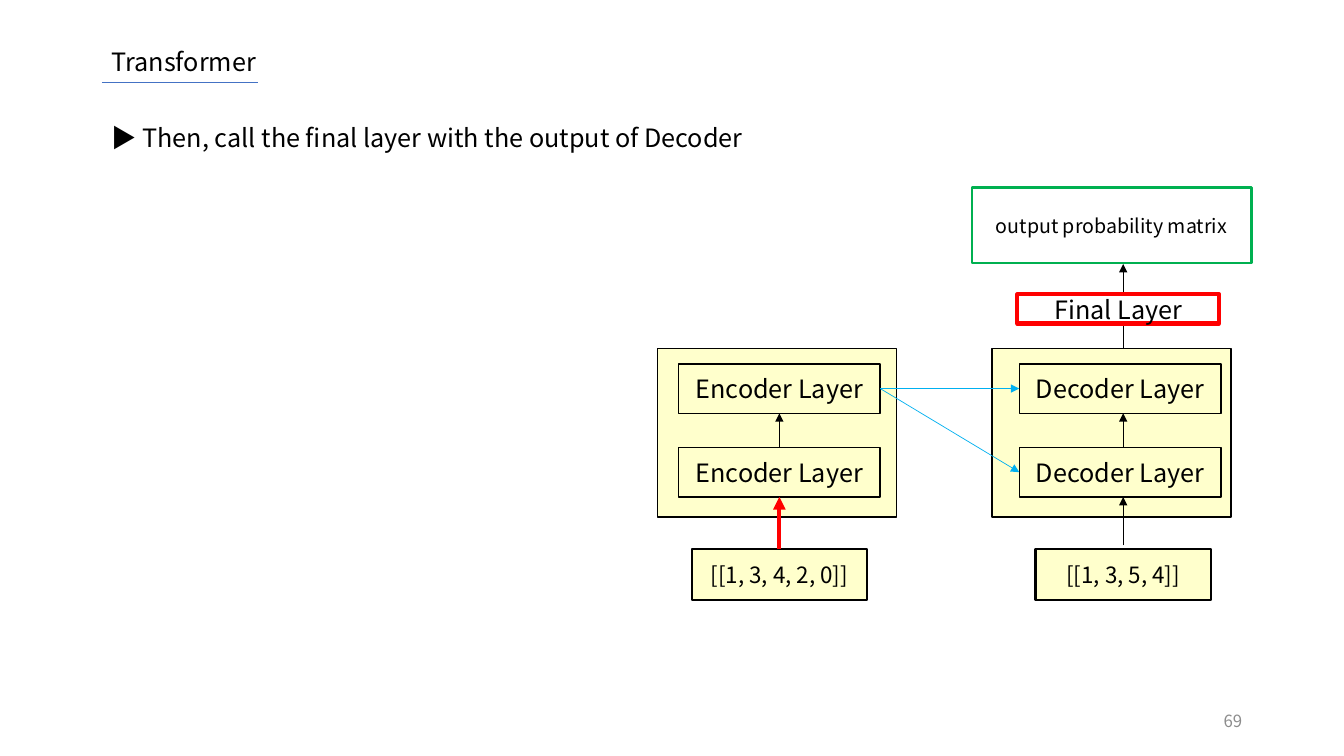
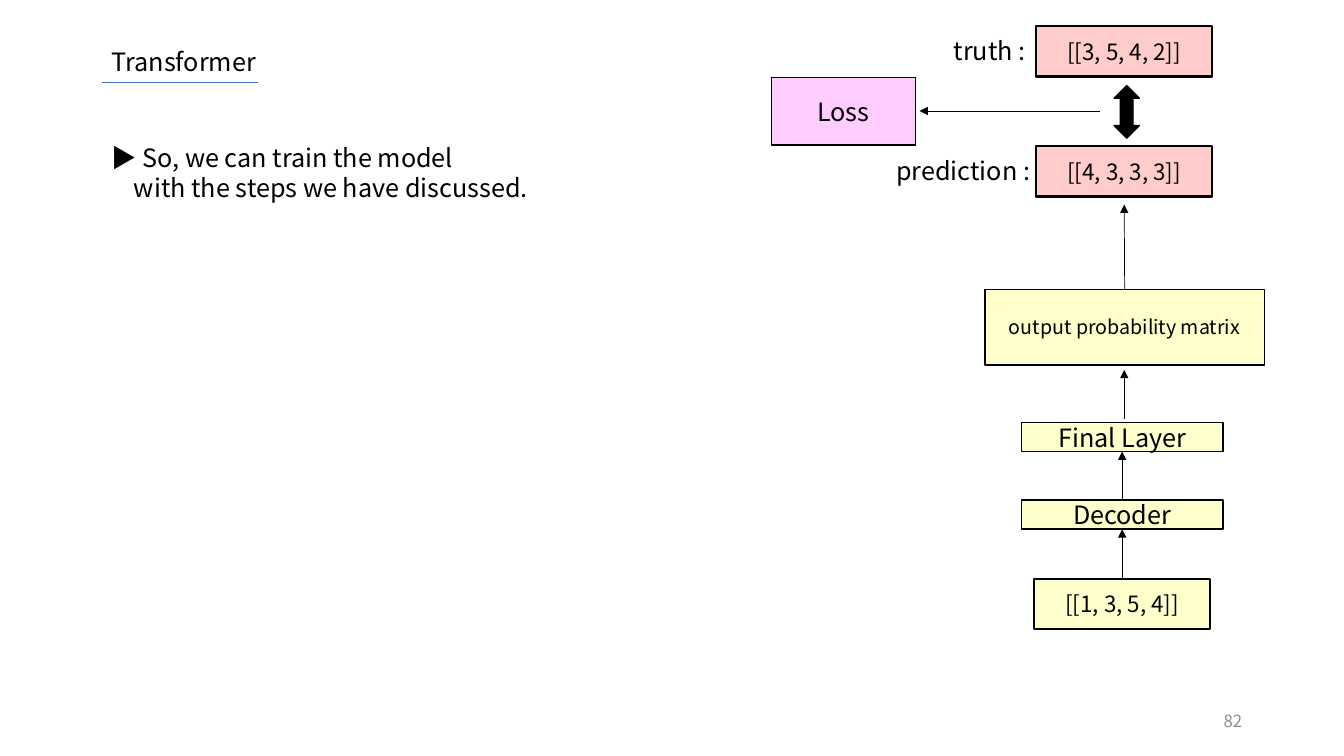
from lxml.etree import SubElement
from pptx import Presentation
from pptx.dml.color import RGBColor
from pptx.enum.shapes import MSO_CONNECTOR, MSO_SHAPE
from pptx.enum.text import MSO_ANCHOR, PP_ALIGN
from pptx.oxml.ns import qn
from pptx.util import Pt

PX = 9144  # 100 px to the inch
FONT = "Noto Sans CJK KR"
BLACK = RGBColor(0x00, 0x00, 0x00)
WHITE = RGBColor(0xFF, 0xFF, 0xFF)
GREY = RGBColor(0x8C, 0x8C, 0x8C)
RULE_BLUE = RGBColor(0x44, 0x72, 0xC4)
SKY = RGBColor(0x00, 0xB0, 0xF0)
RED = RGBColor(0xFF, 0x00, 0x00)
GREEN = RGBColor(0x00, 0xB0, 0x50)
CREAM = RGBColor(0xFF, 0xFF, 0xCC)
ROSE = RGBColor(0xFF, 0xCC, 0xCC)
PINK = RGBColor(0xFF, 0xCC, 0xFF)

TOP, LEFT, BOTTOM, RIGHT = range(4)
LAYER_SIZE = (200, 49)
FINAL_SIZE = (200, 29)
TOKEN_SIZE = (174, 50)
MATRIX_SIZE = (277, 75)
TOKEN = {"size": 16, "weight": 1.5}


def emu(*lengths):
    return [length * PX for length in lengths]


def set_all(target, values):
    for name, value in values.items():
        setattr(target, name, value)


def write(shape, lines, size, color=BLACK, align=PP_ALIGN.LEFT,
          anchor=MSO_ANCHOR.TOP, hanging=0):
    """Fill a shape with one paragraph a line; later lines start at hanging."""
    frame = shape.text_frame
    set_all(frame, {"word_wrap": True, "vertical_anchor": anchor})
    for index, line in enumerate(lines):
        para = frame.add_paragraph() if index else frame.paragraphs[0]
        para.alignment = align
        if index and hanging:
            para._p.get_or_add_pPr().set("marL", str(hanging * PX))
        span = para.add_run()
        span.text = line
        set_all(span.font, {"name": FONT, "size": Pt(size)})
        span.font.color.rgb = color
        SubElement(span._r.rPr, qn("a:ea")).set("typeface", FONT)


def add_text(page, box, *lines, size=18, **style):
    write(page.shapes.add_textbox(*emu(*box)), lines, size, **style)


def add_box(page, place, extent, text="", fill=CREAM, line=BLACK, weight=1,
            size=18, kind=MSO_SHAPE.RECTANGLE):
    shape = page.shapes.add_shape(kind, *emu(*place, *extent))
    shape.shadow.inherit = False
    if fill is None:
        shape.fill.background()
    else:
        shape.fill.solid()
        shape.fill.fore_color.rgb = fill
    shape.line.color.rgb = line
    shape.line.width = Pt(weight)
    if text:
        write(shape, [text], size, align=PP_ALIGN.CENTER,
              anchor=MSO_ANCHOR.MIDDLE)
    return shape


def add_line(page, start, end, color=BLACK, weight=0.5, arrow=True):
    """Draw a line; each end is an (x, y) point or a (shape, side) joint."""
    joined = [not isinstance(point[0], int) for point in (start, end)]
    points = [(0, 0) if joint else point
              for joint, point in zip(joined, (start, end))]
    link = page.shapes.add_connector(
        MSO_CONNECTOR.STRAIGHT, *emu(*points[0], *points[1]))
    if joined[0]:
        link.begin_connect(*start)
    if joined[1]:
        link.end_connect(*end)
    link.line.color.rgb = color
    link.line.width = Pt(weight)
    if arrow:
        SubElement(link.line._get_or_add_ln(), qn("a:tailEnd")).set(
            "type", "triangle")
    SubElement(link._element.spPr, qn("a:effectLst"))


def add_page(deck, number, message, message_top):
    page = deck.slides.add_slide(deck.slide_layouts[6])
    add_text(page, (101, 41, 456, 40), "Transformer")
    add_line(page, (101, 82), (256, 82), RULE_BLUE, arrow=False)
    add_text(page, (101, message_top, 662, 10 + 30 * len(message)), *message,
             hanging=22)
    add_text(page, (942, 695, 300, 40), str(number), size=12, color=GREY,
             align=PP_ALIGN.RIGHT, anchor=MSO_ANCHOR.MIDDLE)
    return page


def add_stack(page, left, top, inset, name):
    """Draw a framed pair of layers and return the upper and lower one."""
    add_box(page, (left, top), (237, 167))
    return [add_box(page, (left + inset, top + offset), LAYER_SIZE, name)
            for offset in (15, 98)]


def add_model(page, left, top):
    """Draw encoder and decoder, from the token lists up to the output."""
    encoders = add_stack(page, left, top + 160, 21, "Encoder Layer")
    decoders = add_stack(page, left + 332, top + 160, 27, "Decoder Layer")
    tokens = add_box(page, (left + 34, top + 359), TOKEN_SIZE,
                     "[[1, 3, 4, 2, 0]]", **TOKEN)
    add_box(page, (left + 375, top + 359), TOKEN_SIZE, "[[1, 3, 5, 4]]",
            **TOKEN)
    add_box(page, (left + 312, top), MATRIX_SIZE, "output probability matrix",
            fill=None, line=GREEN, weight=2, size=14)

    axis = left + 462
    for start, end in ((160, 76), (258, 224), (355, 307)):
        add_line(page, (axis, top + start), (axis, top + end))
    add_box(page, (left + 357, top + 106), FINAL_SIZE, "Final Layer",
            fill=WHITE, line=RED, weight=3)

    add_line(page, (encoders[1], TOP), (encoders[0], BOTTOM))
    add_line(page, (tokens, TOP), (encoders[1], BOTTOM), RED, 3)
    for decoder in decoders:
        add_line(page, (encoders[0], RIGHT), (decoder, LEFT), SKY)


def add_prediction(page, left, top):
    """Draw the chain from the decoder input up to the predicted tokens."""
    prediction = (left + 51, top)
    add_box(page, prediction, TOKEN_SIZE, "[[4, 3, 3, 3]]", fill=ROSE, **TOKEN)
    matrix = add_box(page, (left, top + 142), MATRIX_SIZE,
                     "output probability matrix", size=14)
    final = add_box(page, (left + 36, top + 274), FINAL_SIZE, "Final Layer")
    decoder = add_box(page, (left + 36, top + 351), FINAL_SIZE, "Decoder")
    tokens = add_box(page, (left + 49, top + 429), TOKEN_SIZE,
                     "[[1, 3, 5, 4]]", **TOKEN)
    axis = left + 138
    add_line(page, (matrix, TOP), (axis, top + 58))
    add_line(page, (axis, top + 271), (axis, top + 222))
    add_line(page, (decoder, TOP), (final, BOTTOM))
    add_line(page, (tokens, TOP), (decoder, BOTTOM))


def add_loss(page, left, top):
    """Compare truth with prediction and lead the difference to the loss."""
    add_box(page, (left + 263, top), TOKEN_SIZE, "[[3, 5, 4, 2]]", fill=ROSE,
            **TOKEN)
    add_box(page, (left + 340, top + 59), (25, 52), fill=BLACK,
            kind=MSO_SHAPE.UP_DOWN_ARROW)
    add_text(page, (left + 171, top + 4, 159, 40), "truth :")
    add_text(page, (left + 114, top + 123, 159, 40), "prediction :")
    add_box(page, (left, top + 51), (143, 67), "Loss", fill=PINK)
    add_line(page, (left + 326, top + 84), (left + 147, top + 84))


def main():
    deck = Presentation()
    set_all(deck, {"slide_width": 1333 * PX, "slide_height": 750 * PX})
    layers = add_page(
        deck, 69, ["▶ Then, call the final layer with the output of Decoder"],
        116)
    add_model(layers, 652, 186)
    training = add_page(
        deck, 82,
        ["▶ So, we can train the model", "with the steps we have discussed."],
        136)
    add_prediction(training, 977, 145)
    add_loss(training, 765, 26)
    deck.save("out.pptx")


if __name__ == "__main__":
    main()
